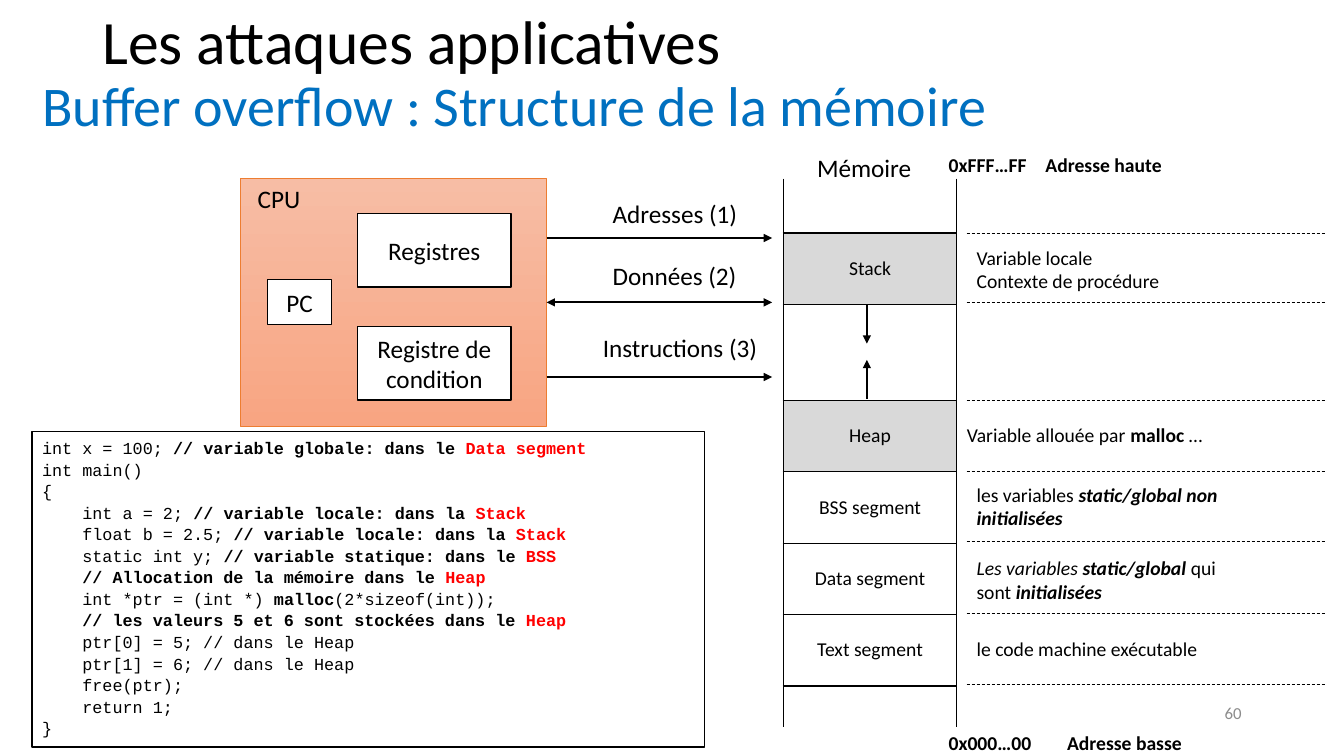
from lxml.etree import SubElement
from pptx import Presentation
from pptx.dml.color import RGBColor
from pptx.enum.dml import MSO_LINE
from pptx.enum.shapes import MSO_CONNECTOR, MSO_SHAPE
from pptx.enum.text import MSO_ANCHOR, MSO_AUTO_SIZE, PP_ALIGN
from pptx.oxml import parse_xml
from pptx.oxml.ns import nsdecls, qn
from pptx.util import Pt

COLORS = {"black": "000000", "white": "FFFFFF", "blue": "0070C0", "red": "FF0000",
          "gray": "8C8C8C", "cell": "D9D9D9", "orange": "ED7D31",
          "cpu_top": "F7BDA5", "cpu_bottom": "F8A582"}

# Each code line is a list of (text, style): b bold, i italic, r red
CODE = [
    [("int x = 100; ", ""), ("// variable globale: dans le ", "b"), ("Data segment", "br")],
    [("int main()", "")],
    [("{", "")],
    [("    int a = 2; ", ""), ("// variable locale: dans la ", "b"), ("Stack", "br")],
    [("    float b = 2.5; ", ""), ("// variable locale: dans la ", "b"), ("Stack", "br")],
    [("    static int y; ", ""), ("// variable statique: dans le ", "b"), ("BSS", "br")],
    [("    // Allocation de la mémoire dans le ", "b"), ("Heap", "br")],
    [("    int *ptr = (int *) ", ""), ("malloc", "b"), ("(2*sizeof(int));", "")],
    [("    // les valeurs 5 et 6 sont stockées dans le ", "b"), ("Heap", "br")],
    [("    ptr[0] = 5; // dans le Heap", "")],
    [("    ptr[1] = 6; // dans le Heap", "")],
    [("    free(ptr);", "")],
    [("    return 1;", "")],
    [("}", "")],
]
SEGMENTS = [("", 39), ("Stack", 51), ("", 68.5), ("Heap", 51), ("BSS segment", 51),
            ("Data segment", 51), ("Text segment", 51), ("", 29.5)]
# Left and top offsets from the memory column, then the lines of text
DESCRIPTIONS = [
    (131, 44.5, [[("Variable locale", "")], [("Contexte de procédure", "")]]),
    (124, 171.3, [[("Variable allouée par ", ""), ("malloc", "b"), (" …", "")]]),
    (131, 213.8, [[("les variables ", ""), ("static/global non initialisées", "bi")]]),
    (131, 266.3, [[("Les variables ", "i"), ("static/global", "bi"), (" qui sont ", ""),
                   ("initialisées", "bi")]]),
    (131, 324, [[("le code machine exécutable", "")]]),
]
DIVIDERS = [39, 88.5, 158.5, 209.5, 259, 310.5, 361.5]


def color(name):
    return RGBColor.from_string(COLORS[name])


def write(frame, lines, size, ink="black", font="Calibri", align=PP_ALIGN.LEFT, spacing=None):
    """Fill a text frame with lines, each a string or a list of styled runs."""
    for index, line in enumerate(lines):
        paragraph = frame.paragraphs[0] if index == 0 else frame.add_paragraph()
        paragraph.alignment = align
        if spacing:
            paragraph.line_spacing = spacing
        paragraph.font.size, paragraph.font.name = Pt(size), font
        paragraph.font.color.rgb = color(ink)
        for text, style in [(line, "")] if isinstance(line, str) else line:
            run = paragraph.add_run()
            run.text = text
            if "b" in style:
                run.font.bold = True
            if "i" in style:
                run.font.italic = True
            if "r" in style:
                run.font.color.rgb = color("red")


def add_label(slide, box, lines, size=18, anchor=MSO_ANCHOR.TOP, **style):
    frame = slide.shapes.add_textbox(*map(Pt, box)).text_frame
    frame.word_wrap = True
    frame.vertical_anchor = anchor
    write(frame, lines, size, **style)


def add_box(slide, box, line="black", width=1):
    shape = slide.shapes.add_shape(MSO_SHAPE.RECTANGLE, *map(Pt, box))
    shape.shadow.inherit = False
    shape.fill.solid()
    shape.fill.fore_color.rgb = color("white")
    shape.line.color.rgb = color(line)
    shape.line.width = Pt(width)
    shape.text_frame.word_wrap = True
    return shape


def add_line(slide, start, end, width=1.5, ends=(), dashed=False):
    connector = slide.shapes.add_connector(MSO_CONNECTOR.STRAIGHT, *map(Pt, start + end))
    connector.line.color.rgb = color("black")
    connector.line.width = Pt(width)
    if dashed:
        connector.line.dash_style = MSO_LINE.DASH
    for name in ends:
        SubElement(connector.line._get_or_add_ln(), qn(f"a:{name}"), type="triangle")
    SubElement(connector._element.spPr, qn("a:effectLst"))
    return connector


def set_borders(cell, visible):
    properties = cell._tc.get_or_add_tcPr()
    for index, side in enumerate("LRTB"):
        paint = (f'<a:solidFill><a:srgbClr val="{COLORS["black"]}"/></a:solidFill>'
                 if side in visible else "<a:noFill/>")
        border = parse_xml(f'<a:ln{side} {nsdecls("a")} w="12700">{paint}</a:ln{side}>')
        properties.insert(index, border)


def fill_headings(slide, title_box, body_box):
    title, body = slide.shapes.title, slide.placeholders[1]
    for shape, box in ((title, title_box), (body, body_box)):
        shape.left, shape.top, shape.width, shape.height = map(Pt, box)
        shape.text_frame.auto_size = MSO_AUTO_SIZE.NONE
    title.text_frame.vertical_anchor = MSO_ANCHOR.MIDDLE
    write(title.text_frame, ["Les attaques applicatives"], 44, spacing=0.9)
    properties = body.text_frame.paragraphs[0]._p.get_or_add_pPr()
    properties.set("marL", "0")
    properties.set("indent", "0")
    SubElement(properties, qn("a:buNone"))
    body.text_frame.paragraphs[0].space_before = Pt(0)
    write(body.text_frame, ["Buffer overflow : Structure de la mémoire"], 40, "blue", spacing=0.9)


def draw_cpu(slide, box):
    left, top, width, height = box
    cpu = add_box(slide, box, "orange", 0.5)
    cpu.fill.gradient()
    cpu.fill.gradient_angle = 270
    for stop, name in zip(cpu.fill.gradient_stops, ("cpu_top", "cpu_bottom")):
        stop.color.rgb = color(name)
    for text, x, y, w, h in (("PC", 19.5, 72, 46, 32.5), ("Registres", 84, 25, 109.5, 52.5),
                             ("Registre de condition", 84, 105.8, 109.5, 52.5)):
        part = add_box(slide, (left + x, top + y, w, h))
        part.text_frame.vertical_anchor = MSO_ANCHOR.MIDDLE
        write(part.text_frame, [text], 18, align=PP_ALIGN.CENTER)
    add_label(slide, (left + 5.5, top, 54, 29), ["CPU"])
    return cpu


def draw_buses(slide, cpu, box):
    left, top, width, height = box
    for text, x, text_y, line_y, ends in (
            ("Adresses (1)", 40, 10.7, 42.5, ["tailEnd"]),
            ("Données (2)", 40, 54.7, 88.5, ["headEnd", "tailEnd"]),
            ("Instructions (3)", 33, 106.5, 141.8, ["tailEnd"])):
        bus = add_line(slide, (left, top + line_y), (left + width, top + line_y), ends=ends)
        if line_y == height / 2:
            bus.begin_connect(cpu, 3)
        add_label(slide, (left + x, top + text_y, 128, 29), [text])


def draw_memory(slide, box):
    left, top, width, height = box
    add_label(slide, (left + 17, top - 22.5, 84, 29), ["Mémoire"])
    # Segment column, open at both ends
    table = slide.shapes.add_table(len(SEGMENTS), 1, *map(Pt, box)).table
    table.first_row = table.horz_banding = False
    table.columns[0].width = Pt(width)
    for index, (text, row_height) in enumerate(SEGMENTS):
        table.rows[index].height = Pt(row_height)
        cell = table.cell(index, 0)
        cell.vertical_anchor = MSO_ANCHOR.MIDDLE
        if text in ("Stack", "Heap"):
            cell.fill.solid()
            cell.fill.fore_color.rgb = color("cell")
        else:
            cell.fill.background()
        set_borders(cell, {0: "LRB", len(SEGMENTS) - 1: "LRT"}.get(index, "LRTB"))
        if text:
            write(cell.text_frame, [text], 14, align=PP_ALIGN.CENTER)
    # Growth of the stack and the heap
    for start, end in ((90, 118), (157.5, 129.5)):
        add_line(slide, (left + 59.7, top + start), (left + 59.7, top + end), ends=["tailEnd"])
    # Contents of each segment
    for y in DIVIDERS:
        add_line(slide, (left + 131, top + y), (left + 388, top + y), 0.5, dashed=True)
    for x, y, lines in DESCRIPTIONS:
        add_label(slide, (left + x, top + y, 191.5, 24.5 if len(lines) == 1 else 41), lines, 14)
    # Address range
    for address, name, y, name_x, w in (("0xFFF…FF", "Adresse haute", -21.7, 170.5, 116.6),
                                        ("0x000…00", "Adresse basse", 390.9, 180.7, 126)):
        add_label(slide, (left + 111, top + y, w, 24.5), [[(address, "b")]], 14)
        add_label(slide, (left + name_x, top + y, w, 24.5), [[(name, "b")]], 14,
                  align=PP_ALIGN.CENTER)


def draw_code(slide, box):
    frame = add_box(slide, box).text_frame
    frame.vertical_anchor = MSO_ANCHOR.TOP
    write(frame, CODE, 12, font="Courier New", spacing=1.07)


def main():
    presentation = Presentation()
    presentation.slide_width, presentation.slide_height = Pt(960), Pt(540)
    slide = presentation.slides.add_slide(presentation.slide_layouts[1])
    fill_headings(slide, (66, 0, 828, 63.5), (23, 52, 772, 475))
    add_label(slide, (678, 494.6, 216, 28.8), ["60"], 12, MSO_ANCHOR.MIDDLE,
              ink="gray", align=PP_ALIGN.RIGHT)
    cpu = draw_cpu(slide, (171.5, 127.5, 219, 177))
    draw_buses(slide, cpu, (390.5, 127.5, 161, 177))
    draw_memory(slide, (559.5, 127.5, 124, 392))
    draw_code(slide, (23, 308.2, 480.2, 225.4))
    presentation.save("out.pptx")


if __name__ == "__main__":
    main()
